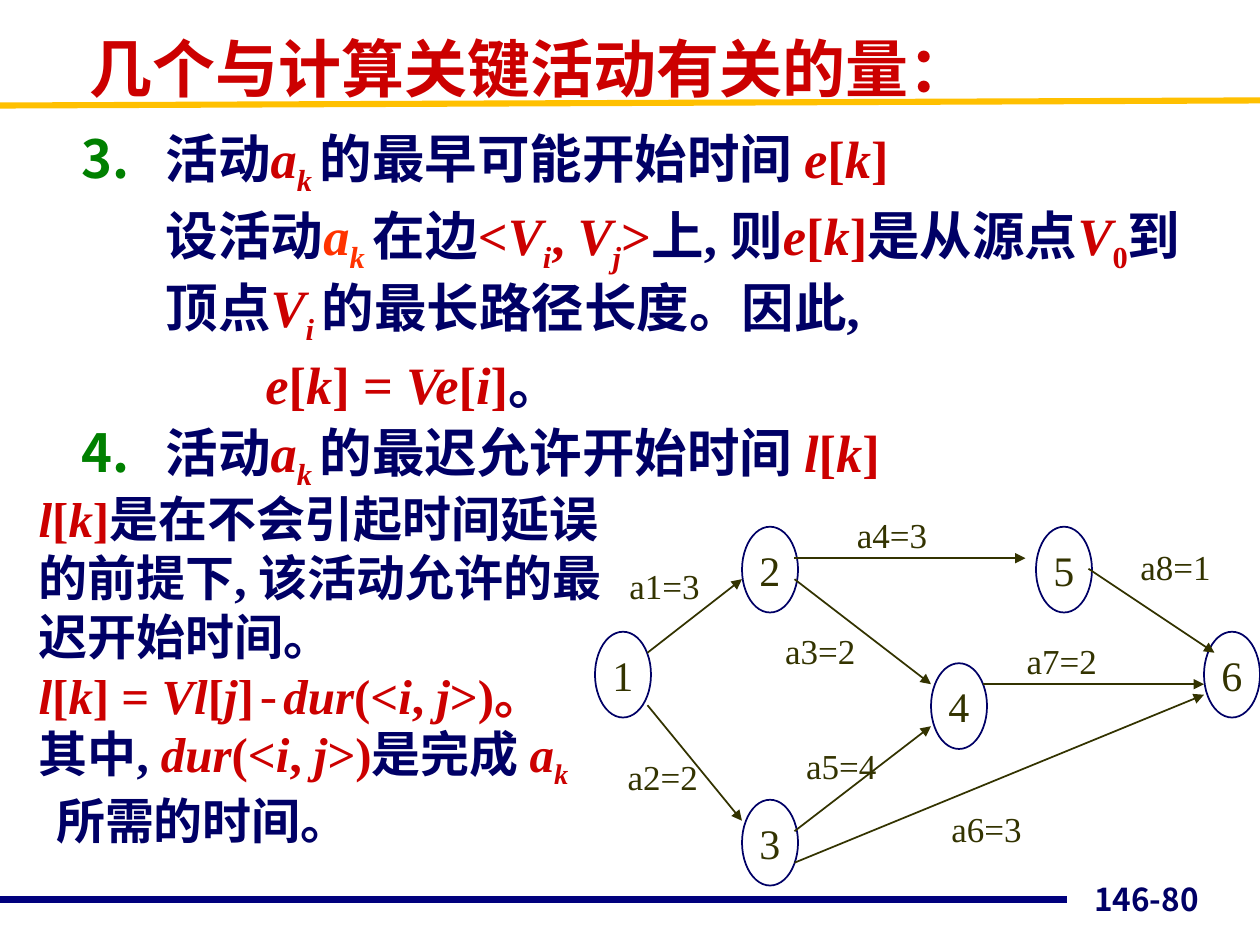
"""Build the slide on earliest and latest start times of critical activities."""
from lxml import etree
from pptx import Presentation, util as u
from pptx.dml import color
from pptx.enum import shapes, text
from pptx.oxml import ns

Pt = u.Pt
THEME = {
    "navy": "000066", "red": "CC0000", "orange": "FF3300", "olive": "333300",
    "green": "008000", "bar": "00007D", "gold": "FFC000",
    "serif": "Times New Roman", "sans": "Arial", "mono": "Courier New",
    "number_font": "Noto Sans CJK JP",
    "title": 36, "body": 30, "aside": 28, "node": 24, "label": 20, "page": 18,
}
STYLES = {
    "n": {"ink": "navy"},
    "r": {"ink": "red"},
    "i": {"ink": "red", "italic": True},
    "s": {"ink": "red", "italic": True, "sub": True},
    "z": {"ink": "red", "sub": True},
    "o": {"ink": "orange", "italic": True},
    "p": {"ink": "orange", "italic": True, "sub": True},
    "m": {"ink": "red", "face": "mono", "bold": False},
    "t": {"ink": "red", "face": "sans"},
    "f": {"ink": "navy", "face": "number_font"},
    "g": {"ink": "olive", "bold": False},
}


def write(paragraph, markup, size):
    for piece in markup.split("|"):
        code, words = piece.split(":", 1)
        style = STYLES[code]
        run = paragraph.add_run()
        run.text = words
        formats = {
            "name": THEME[style.get("face", "serif")], "size": Pt(THEME[size]),
            "bold": style.get("bold", True), "italic": style.get("italic", False),
        }
        for name, value in formats.items():
            setattr(run.font, name, value)
        run.font.color.rgb = color.RGBColor.from_string(THEME[style["ink"]])
        if style.get("sub"):
            run.font._element.set("baseline", "-25000")


def add_line(slide, ends, ink, width, arrow=False):
    line = slide.shapes.add_connector(shapes.MSO_CONNECTOR.STRAIGHT, *map(Pt, ends))
    line.line.color.rgb = color.RGBColor.from_string(THEME[ink])
    line.line.width = Pt(width)
    if arrow:
        etree.SubElement(line.line._get_or_add_ln(), ns.qn("a:tailEnd"), type="triangle")
    etree.SubElement(line._element.spPr, ns.qn("a:effectLst"))


presentation = Presentation()
presentation.slide_width, presentation.slide_height = Pt(720), Pt(540)
slide = presentation.slides.add_slide(presentation.slide_layouts[5])

add_line(slide, (0, 514, 610, 514), "bar", 4.5)
add_line(slide, (0, 60.3, 720, 57.4), "gold", 3.5)

title = slide.shapes.title
for name, value in {"left": 44, "top": 17.3, "width": 611, "height": 42}.items():
    setattr(title, name, Pt(value))
title.text_frame.vertical_anchor = text.MSO_ANCHOR.MIDDLE
title.text_frame.paragraphs[0].alignment = text.PP_ALIGN.LEFT
write(title.text_frame.paragraphs[0], "t:几个与计算关键活动有关的量：", "title")

page = slide.shapes.add_textbox(Pt(524), Pt(492), Pt(168), Pt(36))
page.text_frame.word_wrap = True
page.text_frame.vertical_anchor = text.MSO_ANCHOR.BOTTOM
page.text_frame.paragraphs[0].alignment = text.PP_ALIGN.RIGHT
write(page.text_frame.paragraphs[0], "f:146-80", "page")

BLOCKS = [
    ("body", (39.6, 68.4, 642, 210), 3, text.PP_ALIGN.JUSTIFY, [
        (3, 48, 41, "n:活动|i:a|s:k |n:的最早可能开始时间 |i:e|r:[|i:k|r:]"),
        (None, 48, 41, "n:设活动|o:a|p:k |n:在边|r:<|i:V|s:i|r:, |i:V|s:j|r:>|n:上, 则"
                       "|i:e|r:[|i:k|r:]|n:是从源点|i:V|z:0|n:到顶点|i:V|s:i "
                       "|n:的最长路径长度。因此, "),
        (None, 105, 36, "i:e|r:[|i:k|r:] = |i:Ve|r:[|i:i|r:]|n:。"),
        (4, 48, 41, "n:活动|i:a|s:k |n:的最迟允许开始时间 |i:l|r:[|i:k|r:]"),
    ]),
    ("aside", (15, 275.8, 339, 245), 0, text.PP_ALIGN.LEFT, [
        (None, 0, 33.6, "i:l|r:[|i:k|r:]|n:是在不会引起时间延误的前提下, 该活动允许的最迟开始时间。"),
        (None, 0, 33.6, "i:l|r:[|i:k|r:] =|i: Vl|r:[|i:j|r:]|m:-|i:dur|r:(<|i:i|r:, "
                        "|i:j|r:>)。"),
        (None, 0, 38, "n:其中, |i:dur|r:(<|i:i|r:, |i:j|r:>)|n:是完成 |i:a|s:k"),
        (None, 10, 33.6, "n:所需的时间。"),
    ]),
]
for size, place, gap, alignment, paragraphs in BLOCKS:
    frame = slide.shapes.add_textbox(*map(Pt, place)).text_frame
    frame.word_wrap = True
    for index, (number, margin, spacing, markup) in enumerate(paragraphs):
        paragraph = frame.add_paragraph() if index else frame.paragraphs[0]
        formats = {"alignment": alignment, "line_spacing": Pt(spacing),
                   "space_before": Pt(gap if index else 0)}
        for name, value in formats.items():
            setattr(paragraph, name, value)
        properties = paragraph._p.get_or_add_pPr()
        properties.set("marL", str(Pt(margin)))
        properties.set("indent", str(Pt(-margin if number else 0)))
        if number:
            tint = etree.SubElement(properties, ns.qn("a:buClr"))
            etree.SubElement(tint, ns.qn("a:srgbClr"), val=THEME["green"])
            etree.SubElement(properties, ns.qn("a:buFont"), typeface=THEME["number_font"])
            etree.SubElement(properties, ns.qn("a:buAutoNum"),
                             type="arabicPeriod", startAt=str(number))
        write(paragraph, markup, size)

NODES = [(340, 361), (424, 301), (424, 457), (532, 379), (592, 301), (688, 361)]
for number, (left, top) in enumerate(NODES, 1):
    node = slide.shapes.add_shape(
        shapes.MSO_SHAPE.OVAL, Pt(left), Pt(top), Pt(32), Pt(49))
    node.shadow.inherit = False
    node.fill.background()
    node.line.color.rgb = color.RGBColor.from_string(THEME["navy"])
    node.line.width = Pt(1)
    node.text_frame.word_wrap = False
    node.text_frame.vertical_anchor = text.MSO_ANCHOR.MIDDLE
    node.text_frame.paragraphs[0].alignment = text.PP_ALIGN.CENTER
    write(node.text_frame.paragraphs[0], f"g:{number}", "node")

ACTIVITIES = [
    (3, (370, 373, 424, 331), (352, 319)),
    (2, (370, 403, 424, 469), (351, 428)),
    (2, (454, 331, 532, 391), (441, 356)),
    (3, (454, 319, 586, 319), (482, 290)),
    (4, (454, 475, 532, 415), (453, 422)),
    (3, (454, 493, 688, 397), (536, 458)),
    (2, (562, 391, 688, 391), (579, 362)),
    (1, (622, 325, 694, 373), (644, 308)),
]
for number, (duration, ends, (left, top)) in enumerate(ACTIVITIES, 1):
    add_line(slide, ends, "olive", 1, arrow=True)
    label = slide.shapes.add_textbox(Pt(left), Pt(top), Pt(55.5), Pt(31))
    label.text_frame.word_wrap = False
    label.text_frame.paragraphs[0].alignment = text.PP_ALIGN.CENTER
    write(label.text_frame.paragraphs[0], f"g:a{number}={duration}", "label")

presentation.save("out.pptx")
